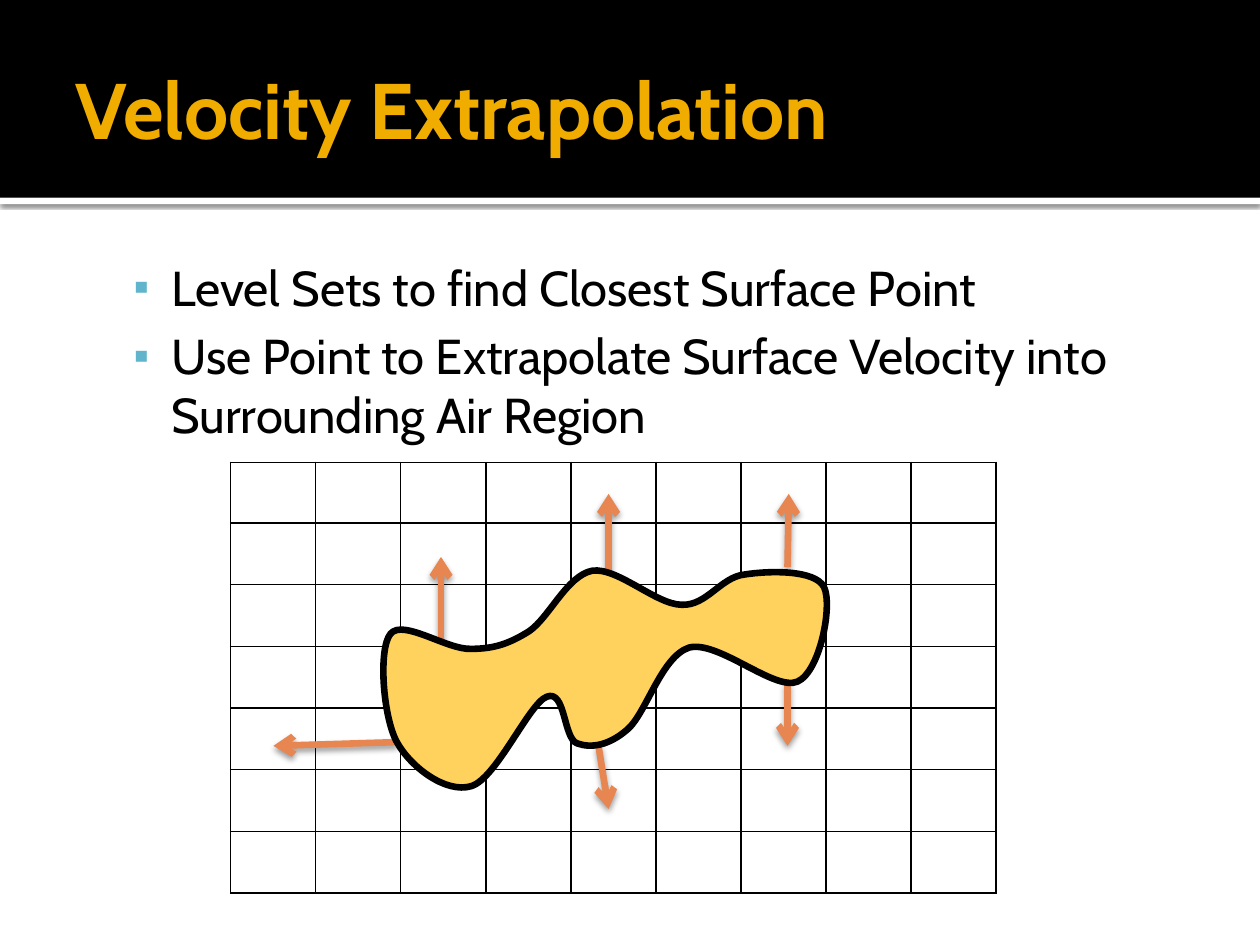
from lxml import etree
from pptx import Presentation
from pptx import util as u
from pptx.dml.color import RGBColor
from pptx.enum import shapes, text
from pptx.oxml import ns

COLORS = {
    "white": "FFFFFF", "black": "000000", "title": "F0AD00",
    "bullet": "60B5CC", "arrow": "E88651", "fluid": "FFD25D",
}
FONT = "Cabin"
LINE_WIDTH = u.Pt(3.78)
BULLETS = [
    "Level Sets to find Closest Surface Point",
    "Use Point to Extrapolate Surface Velocity into Surrounding Air Region",
]
VELOCITIES = [
    ((3.5, 5.17), (3.5, 4.42)), ((4.83, 4.58), (4.83, 3.92)),
    ((6.25, 4.5), (6.26, 3.92)), ((4.75, 5.92), (4.83, 6.42)),
    ((3.15, 5.89), (2.17, 5.92)), ((6.25, 5.42), (6.25, 5.92)),
]
# Each curve holds two control points and an end point.
FLUID_START = (4.2, 5.01)
FLUID_CURVES = [
    ((4.36, 4.9), (4.5, 4.57), (4.7, 4.53)),
    ((4.9, 4.5), (5.21, 4.8), (5.41, 4.8)),
    ((5.61, 4.81), (5.72, 4.58), (5.91, 4.56)),
    ((6.1, 4.53), (6.47, 4.52), (6.54, 4.66)),
    ((6.61, 4.8), (6.51, 5.33), (6.33, 5.41)),
    ((6.15, 5.49), (5.7, 5.08), (5.47, 5.14)),
    ((5.25, 5.21), (5.13, 5.66), (4.98, 5.79)),
    ((4.83, 5.92), (4.69, 5.94), (4.58, 5.9)),
    ((4.47, 5.86), (4.49, 5.47), (4.34, 5.53)),
    ((4.2, 5.58), (3.94, 6.18), (3.74, 6.24)),
    ((3.54, 6.3), (3.26, 6.09), (3.15, 5.89)),
    ((3.04, 5.69), (3, 5.15), (3.1, 5.03)),
    ((3.2, 4.91), (3.55, 5.16), (3.74, 5.15)),
    ((3.92, 5.15), (4.04, 5.11), (4.2, 5.01)),
]


def rgb(name):
    """Return the named colour."""
    return RGBColor.from_string(COLORS[name])


def set_values(target, values):
    """Set attributes of an object from a dict."""
    for name, value in values.items():
        setattr(target, name, value)


def add_xml(parent, tag, **attributes):
    """Append a DrawingML element and return it."""
    return etree.SubElement(parent, ns.qn(f"a:{tag}"),
                            {key: str(value) for key, value in attributes.items()})


def add_shadow(shape, opacity, blur, distance):
    """Give a shape a black shadow that falls downwards."""
    effects = add_xml(shape._element.spPr, "effectLst")
    shadow = add_xml(effects, "outerShdw", blurRad=u.Pt(blur), dist=u.Pt(distance),
                     dir=5400000, algn="ctr", rotWithShape=0)
    color = add_xml(shadow, "srgbClr", val=COLORS["black"])
    add_xml(color, "alpha", val=opacity * 1000)


def add_band(slide, top, height, color):
    """Add a full-width band to the back of the slide's layout."""
    band = slide.shapes.add_shape(shapes.MSO_SHAPE.RECTANGLE, 0, u.Inches(top),
                                  u.Inches(10), u.Inches(height))
    band.fill.solid()
    band.fill.fore_color.rgb = rgb(color)
    band.line.fill.background()
    slide.slide_layout.shapes._spTree.insert(2, band._element)
    return band


def place_text(shape, box, insets, anchor):
    """Move a placeholder and set its text frame."""
    for name, value in zip(("left", "top", "width", "height"), box):
        setattr(shape, name, u.Inches(value))
    frame = shape.text_frame
    set_values(frame, {"word_wrap": True, "auto_size": text.MSO_AUTO_SIZE.NONE,
                       "vertical_anchor": anchor})
    for side, value in zip(("left", "top", "right", "bottom"), insets):
        setattr(frame, f"margin_{side}", u.Inches(value))
    return frame


def write_paragraph(paragraph, words, size, color, bold):
    """Write left-aligned text into a paragraph."""
    paragraph.alignment = text.PP_ALIGN.LEFT
    run = paragraph.add_run()
    run.text = words
    set_values(run.font, {"name": FONT, "size": u.Pt(size), "bold": bold})
    run.font.color.rgb = rgb(color)


def add_bullet(paragraph):
    """Give a paragraph its indent, spacing and square bullet."""
    paragraph.level = 1
    properties = paragraph._p.get_or_add_pPr()
    properties.set("marL", str(u.Inches(0.8)))
    properties.set("indent", str(u.Inches(-0.3)))
    add_xml(add_xml(properties, "spcBef"), "spcPct", val=20000)
    add_xml(add_xml(properties, "buClr"), "srgbClr", val=COLORS["bullet"])
    add_xml(properties, "buSzPct", val=90000)
    add_xml(properties, "buFont", typeface="Arial")
    add_xml(properties, "buChar", char="▪")


def add_grid(slide, rows, columns):
    """Add the simulation grid as an empty table."""
    table = slide.shapes.add_table(rows, columns, u.Inches(1.83), u.Inches(3.67),
                                   u.Inches(6.08), u.Inches(3.42)).table
    set_values(table, {"first_row": False, "horz_banding": False})
    for index, row in enumerate(table.rows):
        row.height = u.Inches(0.49 if index else 0.48)
    for cell in table.iter_cells():
        properties = cell._tc.get_or_add_tcPr()
        for side in "LRTB":
            border = add_xml(properties, f"ln{side}", w=u.Pt(1))
            add_xml(add_xml(border, "solidFill"), "srgbClr", val=COLORS["black"])
        cell.fill.background()


def add_arrow(slide, start, end):
    """Add a velocity arrow."""
    arrow = slide.shapes.add_connector(
        shapes.MSO_CONNECTOR.STRAIGHT, *(u.Inches(value) for value in start + end))
    arrow.line.width = LINE_WIDTH
    arrow.line.color.rgb = rgb("arrow")
    add_xml(arrow.line._get_or_add_ln(), "tailEnd", type="arrow")
    add_shadow(arrow, 38, 3.5, 2)


def curve_segments(shape):
    """Turn every three line segments of a freeform into one cubic curve."""
    segments = list(shape._element.iter(ns.qn("a:lnTo")))
    for index in range(0, len(segments), 3):
        curve = etree.Element(ns.qn("a:cubicBezTo"))
        segments[index].addprevious(curve)
        for segment in segments[index:index + 3]:
            curve.append(segment[0])
            segment.getparent().remove(segment)


def add_fluid(slide):
    """Add the fluid region as a smooth closed outline."""
    points = [(u.Inches(x), u.Inches(y)) for curve in FLUID_CURVES for x, y in curve]
    builder = slide.shapes.build_freeform(*(u.Inches(value) for value in FLUID_START))
    builder.add_line_segments(points, close=True)
    fluid = builder.convert_to_shape()
    curve_segments(fluid)
    fluid.shadow.inherit = False
    fluid.fill.solid()
    fluid.fill.fore_color.rgb = rgb("fluid")
    fluid.line.width = LINE_WIDTH
    fluid.line.color.rgb = rgb("black")


def main():
    """Build the slide and save it."""
    presentation = Presentation()
    set_values(presentation, {"slide_width": u.Inches(10), "slide_height": u.Inches(7.5)})
    slide = presentation.slides.add_slide(presentation.slide_layouts[1])

    add_band(slide, 0, 1.57, "black").shadow.inherit = False
    add_shadow(add_band(slide, 1.57, 0.05, "white"), 60, 2.5, 0.8)
    add_grid(slide, 7, 9)

    title = place_text(slide.shapes.title, (0.5, 0.17, 9, 1.37),
                       (0.1, 0.05, 0.05, 0.05), text.MSO_ANCHOR.MIDDLE)
    write_paragraph(title.paragraphs[0], "Velocity Extrapolation", 45, "title", True)
    body = place_text(slide.placeholders[1], (0.5, 1.94, 9, 1.56),
                      (0.06, 0.1, 0.1, 0.05), text.MSO_ANCHOR.TOP)
    for index, words in enumerate(BULLETS):
        paragraph = body.add_paragraph() if index else body.paragraphs[0]
        write_paragraph(paragraph, words, 28, "black", False)
        add_bullet(paragraph)

    for start, end in VELOCITIES:
        add_arrow(slide, start, end)
    add_fluid(slide)
    presentation.save("out.pptx")


main()
